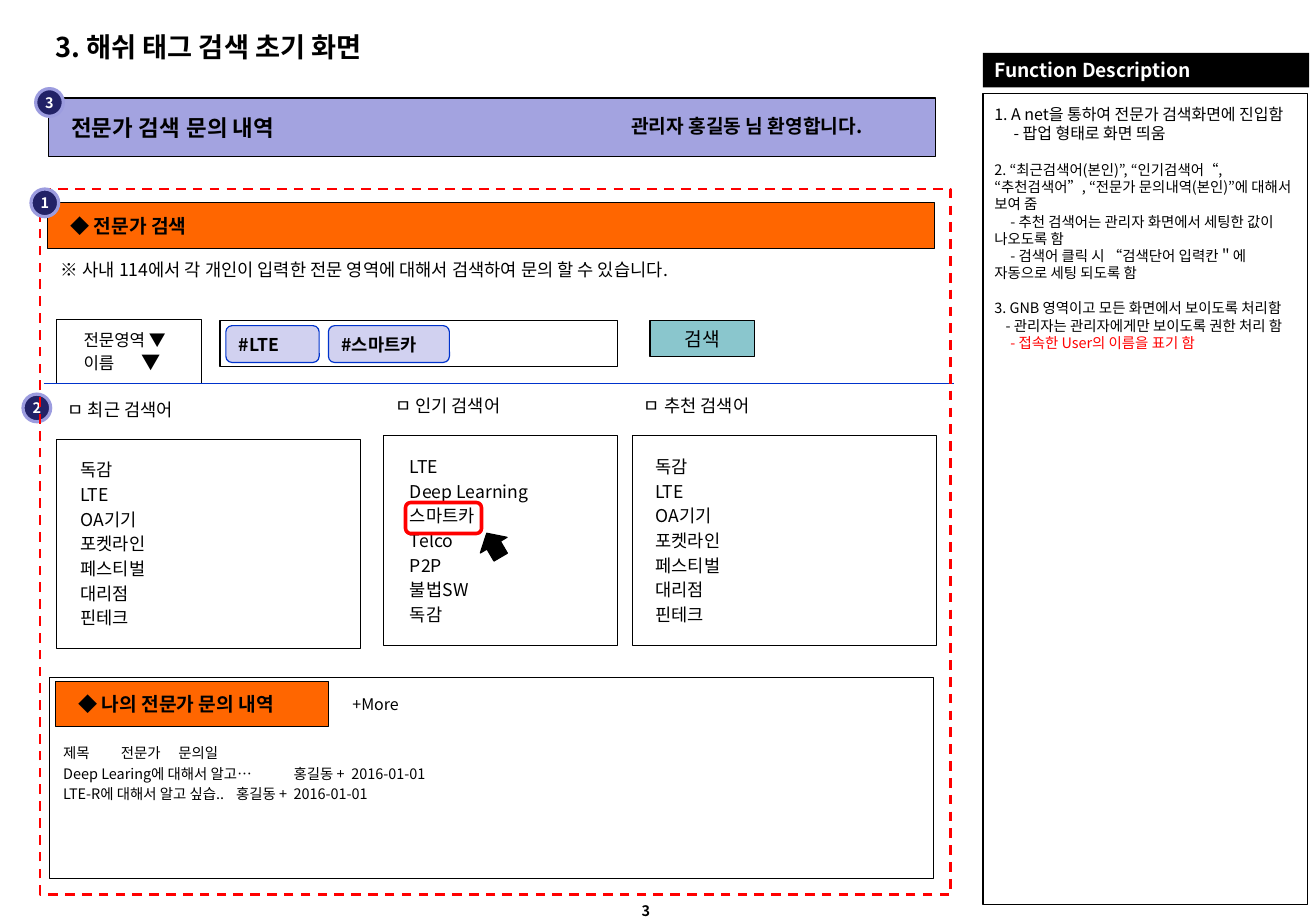
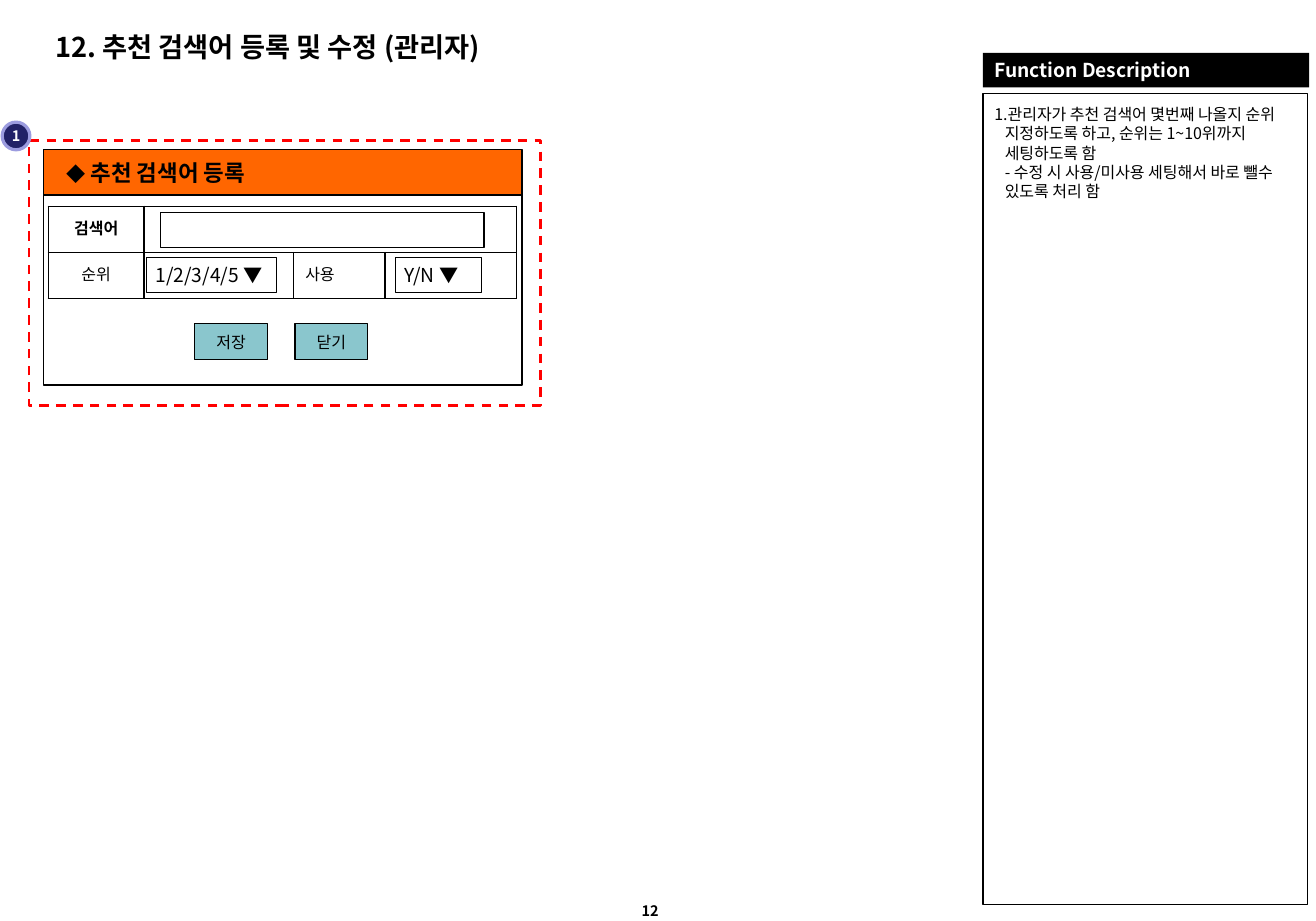
import pptx
import pptx.util
import pptx.dml.color
import pptx.enum.dml
import pptx.enum.shapes
import pptx.enum.text
import pptx.oxml
import pptx.oxml.ns
import lxml.etree

Pt = pptx.util.Pt
KIND = pptx.enum.shapes.MSO_SHAPE
ANCHOR = pptx.enum.text.MSO_ANCHOR
ALIGN = {"left": pptx.enum.text.PP_ALIGN.LEFT, "mid": pptx.enum.text.PP_ALIGN.CENTER}
qn = pptx.oxml.ns.qn

FONT = "Noto Sans CJK KR"
HUES = {"ink": "000000", "paper": "FFFFFF", "red": "FF0000", "orange": "FF6600",
        "teal": "8AC6CD", "lilac": "A3A3E0", "pale": "D1D1F0", "blue": "0033CC",
        "navy": "222267", "ring": "9C9CDF"}

SEARCH = {
    "page": "3",
    "title": "3. 해쉬 태그 검색 초기 화면",
    "notes": [
        {"text": "1. A net을 통하여 전문가 검색화면에 진입함", "size": 10},
        {"text": "- 팝업 형태로 화면 띄움", "size": 10, "first": 12},
        {"text": "2. “최근검색어(본인)”, “인기검색어“, “추천검색어”, “전문가 문의내역(본인)”에 대해서 보여 줌", "gap": 11},
        {"text": "- 추천 검색어는 관리자 화면에서 세팅한 값이 나오도록 함", "first": 10},
        {"text": "- 검색어 클릭 시 “검색단어 입력칸＂에 자동으로 세팅 되도록 함", "first": 10},
        {"text": "3. GNB 영역이고 모든 화면에서 보이도록 처리함", "gap": 11},
        {"text": "- 관리자는 관리자에게만 보이도록 권한 처리 함", "first": 7},
        {"text": "- 접속한 User의 이름을 표기 함", "first": 10, "hue": "red"},
    ],
}
ADMIN = {
    "page": "12",
    "title": "12. 추천 검색어 등록 및 수정 (관리자)",
    "notes": [
        {"text": "1.관리자가 추천 검색어 몇번째 나올지 순위 지정하도록 하고, 순위는 1~10위까지 세팅하도록 함",
         "size": 10, "left": 6.5, "first": -6.5},
        {"text": "- 수정 시 사용/미사용 세팅해서 바로 뺄수 있도록 처리 함", "size": 10, "left": 6.5},
    ],
}
TERMS = ["독감", "LTE", "OA기기", "포켓라인", "페스티벌", "대리점", "핀테크"]
POPULAR = ["LTE", "Deep Learning", "스마트카", "Telco", "P2P", "불법SW", "독감"]
PANELS = [("ㅁ 최근 검색어", TERMS, 35.3, 274.3, 190, 43.2),
          ("ㅁ 인기 검색어", POPULAR, 239.8, 272.2, 146.2, 249.1),
          ("ㅁ 추천 검색어", TERMS, 395.3, 272.2, 190, 402.5)]
TAGS = [("#LTE", 141.1, 58.3), ("#스마트카", 205.2, 75.6)]
ASKED = [{"text": "제목\t전문가\t문의일", "tabs": (178, 233.5)},
         {"text": "Deep Learing에 대해서 알고…\t홍길동 +\t2016-01-01", "tabs": (196.5, 251)},
         {"text": "LTE-R에 대해서 알고 싶습..\t홍길동 +\t2016-01-01", "tabs": (176.5, 231.5)}]
FORM = [(0, 0, "검색어", True, "mid"), (1, 0, "순위", False, "mid"), (1, 2, "사용", False, "left")]
WIDTHS = [59.8, 93.6, 56.9, 82.1]
ROW = 28.4
FIELDS = [("1/2/3/4/5 ▼", 91.4, 160.6, 81.4), ("Y/N ▼", 247, 160.6, 54), ("", 100.1, 132.5, 202.3)]
ACTIONS = ["저장", "닫기"]


def put(thing, **vals):
    for key, val in vals.items():
        setattr(thing, key, val)


def rgb(hue):
    return pptx.dml.color.RGBColor.from_string(HUES[hue])


def write(frame, lines, size, hue="ink", bold=False, align="left", gap=0):
    for spot, line in enumerate(lines):
        line = line if isinstance(line, dict) else {"text": line}
        para = frame.paragraphs[0] if spot == 0 else frame.add_paragraph()
        runs = line.get("runs") or [(line["text"], line.get("size", size))]
        put(para, alignment=ALIGN[align], line_spacing=Pt(1.2 * max(r[1] for r in runs)),
            space_before=Pt(line.get("gap", gap if spot else 0)))
        props = para._p.get_or_add_pPr()
        props.set("marL", str(Pt(line.get("left", 0))))
        props.set("indent", str(Pt(line.get("first", 0))))
        if "tabs" in line:
            stops = lxml.etree.SubElement(props, qn("a:tabLst"))
            for stop in line["tabs"]:
                lxml.etree.SubElement(stops, qn("a:tab"), pos=str(Pt(stop)), algn="l")
        for text, points in runs:
            run = para.add_run()
            run.text = text
            put(run.font, size=Pt(points), bold=bold, name=FONT)
            run.font.color.rgb = rgb(line.get("hue", hue))
            lxml.etree.SubElement(run._r.get_or_add_rPr(), qn("a:ea"), typeface=FONT)


def fit(frame, side, edge, anchor, wrap=True):
    put(frame, margin_left=Pt(side), margin_right=Pt(side), margin_top=Pt(edge),
        margin_bottom=Pt(edge), vertical_anchor=anchor, word_wrap=wrap)


def label(slide, x, y, w, h, lines, size, anchor=ANCHOR.TOP, **style):
    frame = slide.shapes.add_textbox(Pt(x), Pt(y), Pt(w), Pt(h)).text_frame
    fit(frame, 7.2, 3.6, anchor)
    write(frame, lines, size, **style)


def box(slide, x, y, w, h, fill=None, line="ink", weight=0.75, kind=KIND.RECTANGLE,
        lines=(), size=12, side=14.4, edge=0, anchor=ANCHOR.MIDDLE, **style):
    shape = slide.shapes.add_shape(kind, Pt(x), Pt(y), Pt(w), Pt(h))
    shape.shadow.inherit = False
    if fill:
        shape.fill.solid()
        shape.fill.fore_color.rgb = rgb(fill)
    else:
        shape.fill.background()
    if line:
        shape.line.color.rgb = rgb(line)
        shape.line.width = Pt(weight)
    else:
        shape.line.fill.background()
    fit(shape.text_frame, side, edge, anchor)
    write(shape.text_frame, lines, size, **style)
    return shape


def badge(slide, x, y, text):
    box(slide, x, y, 17.3, 17.3, "navy", "ring", 2, KIND.OVAL, [text], 9, 0,
        hue="paper", bold=True, align="mid")


def zone(slide, x, y, w, h):
    frame = box(slide, x, y, w, h, line="red", weight=1.5)
    frame.line.dash_style = pptx.enum.dml.MSO_LINE.DASH


def bar(slide, x, y, w, text, size=12):
    runs = [("◆ ", 12), (text, size)]
    box(slide, x, y, w, 28.4, "orange", lines=[{"runs": runs}], bold=True)


def button(slide, x, y, w, text, size):
    box(slide, x, y, w, 22.3, "teal", lines=[text], size=size, side=2.9, align="mid")


def start(deck, data):
    slide = deck.slides.add_slide(deck.slide_layouts[6])
    label(slide, 393.8, 560.2, 60.5, 18, [data["page"]], 9, bold=True)
    box(slide, 614.2, 58.3, 203, 506.9)
    label(slide, 614.2, 61.9, 203, 229, data["notes"], 9)
    box(slide, 614.2, 33.1, 203.8, 21.6, "ink", None, lines=["Function Description"],
        side=7.2, hue="paper", bold=True)
    label(slide, 27.4, 15.1, 560, 28.1, [data["title"]], 17, ANCHOR.MIDDLE, bold=True)
    return slide


def search(deck):
    slide = start(deck, SEARCH)
    box(slide, 35.3, 199.4, 90.7, 40.3, "paper", size=10.5, side=17, lines=[
        {"runs": [("전문영역 ▼", 10.5)]},
        {"runs": [("이름\t", 10.5), ("▼", 12)], "tabs": (40.5,)}])
    box(slide, 137.5, 200.2, 248.4, 28.8, "paper")
    button(slide, 406.1, 200.2, 65.5, "검색", 12)
    for head, terms, x, y, w, inner in PANELS:
        box(slide, x, y, w, 131, "paper")
        label(slide, x, y - 28.8, 124.6, 20.9, [head], 11)
        label(slide, inner, y + 9, 124.6, 116.6, terms, 11, gap=2.2)
    rule = slide.shapes.add_connector(pptx.enum.shapes.MSO_CONNECTOR.STRAIGHT,
                                      Pt(27.4), Pt(239.8), Pt(596.2), Pt(239.8))
    rule.line.color.rgb = rgb("blue")
    rule.line.width = Pt(0.75)
    lxml.etree.SubElement(rule._element.spPr, qn("a:effectLst"))
    bar(slide, 29.5, 126.7, 554.4, "전문가 검색")
    label(slide, 31, 158.4, 564.5, 20.9,
          ["※ 사내 114에서 각 개인이 입력한 전문 영역에 대해서 검색하여 문의 할 수 있습니다."], 11)
    box(slide, 31, 423.4, 552.2, 125.3, "paper")
    badge(slide, 14.4, 246.2, "2")
    zone(slide, 25.2, 118.1, 568.8, 440.6)
    badge(slide, 19.4, 118.1, "1")
    label(slide, 32.4, 461.5, 526.3, 57.6, ASKED, 9, gap=1.8)
    for text, x, w in TAGS:
        box(slide, x, 203.4, w, 23, "pale", "blue", kind=KIND.ROUNDED_RECTANGLE, lines=[text],
            size=11, side=7.2, edge=3.6, bold=True)
    box(slide, 253.4, 313.9, 47.5, 19.4, line="red", weight=2.25, kind=KIND.ROUNDED_RECTANGLE)
    hand = box(slide, 298.8, 331.9, 19.4, 17.3, "ink", kind=KIND.UP_ARROW)
    hand.rotation = 329.7
    bar(slide, 34.6, 425.5, 170.6, "나의 전문가 문의 내역")
    label(slide, 213.1, 430.6, 51.8, 19.4, ["+More"], 10)
    box(slide, 30.2, 61.2, 554.4, 36.7, "lilac", size=14, bold=True,
        lines=[{"text": "전문가 검색\t문의 내역", "tabs": (99.5,)}])
    label(slide, 387.2, 67.7, 187.5, 21.6,
          [{"text": "관리자\t홍길동 님 환영합니다.", "tabs": (46,)}], 12, bold=True)
    badge(slide, 22.3, 55.4, "3")


def border(cell):
    props = cell._tc.get_or_add_tcPr()
    for spot, edge in enumerate(("a:lnL", "a:lnR", "a:lnT", "a:lnB")):
        line = lxml.etree.Element(qn(edge), w=str(Pt(1)))
        fill = lxml.etree.SubElement(line, qn("a:solidFill"))
        lxml.etree.SubElement(fill, qn("a:srgbClr"), val=HUES["ink"])
        props.insert(spot, line)


def form(slide):
    table = slide.shapes.add_table(2, len(WIDTHS), Pt(30.2), Pt(128.9),
                                   Pt(sum(WIDTHS)), Pt(2 * ROW)).table
    put(table, first_row=False, horz_banding=False)
    for col, width in zip(table.columns, WIDTHS):
        col.width = Pt(width)
    for row in table.rows:
        row.height = Pt(ROW)
    for cell in table.iter_cells():
        cell.fill.background()
        cell.vertical_anchor = ANCHOR.MIDDLE
        border(cell)
    table.cell(0, 1).merge(table.cell(0, 3))
    for row, col, text, bold, align in FORM:
        write(table.cell(row, col).text_frame, [text], 10, bold=bold, align=align)


def admin(deck):
    slide = start(deck, ADMIN)
    bar(slide, 27.4, 93.6, 298.8, "추천 검색어 등록", 14)
    form(slide)
    for text, x, y, w in FIELDS:
        box(slide, x, y, w, 22.3, "paper", lines=[text] if text else [], side=5.8)
    box(slide, 27.4, 121.7, 298.8, 118.8)
    for spot, text in enumerate(ACTIONS):
        button(slide, 121.7 + 62.6 * spot, 202.3, 45.4, text, 10)
    zone(slide, 18, 87.8, 319.7, 165.6)
    badge(slide, 1.4, 76.3, "1")


deck = pptx.Presentation()
put(deck, slide_width=Pt(822.24), slide_height=Pt(575.28))
search(deck)
admin(deck)
deck.save("out.pptx")
